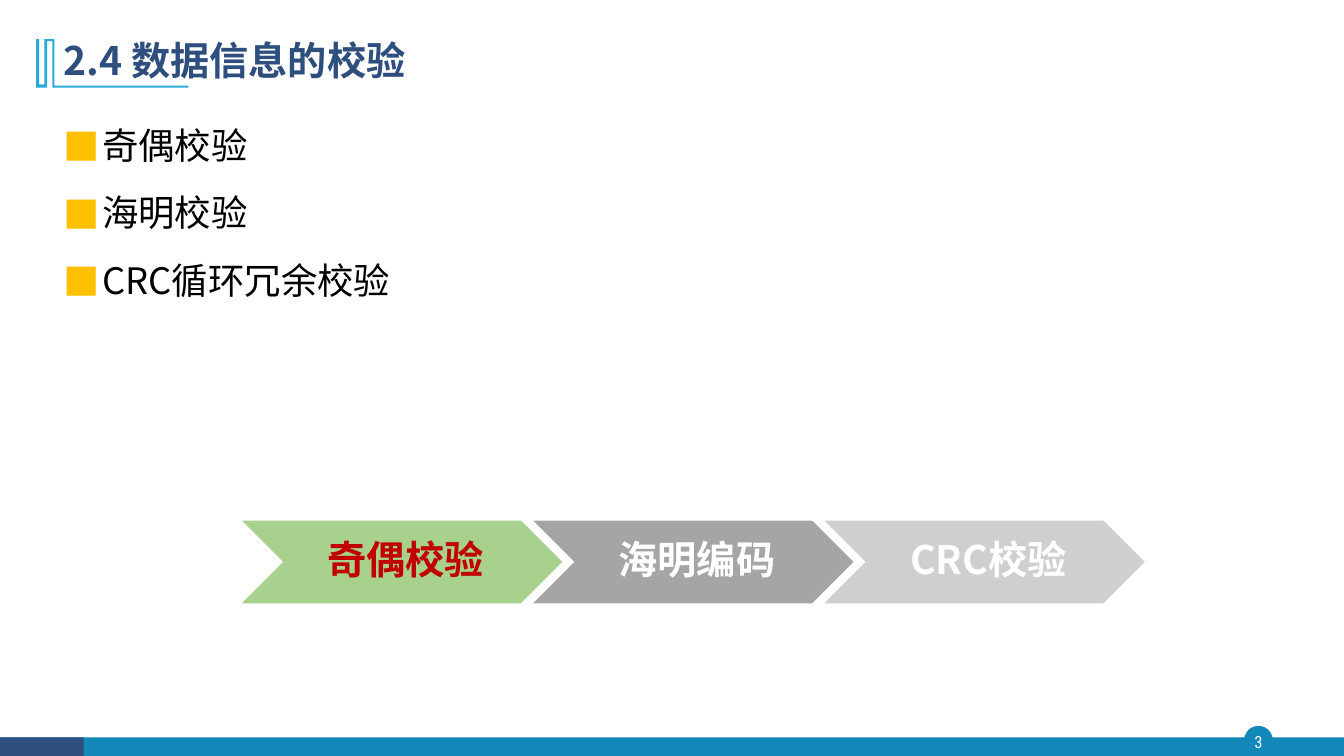
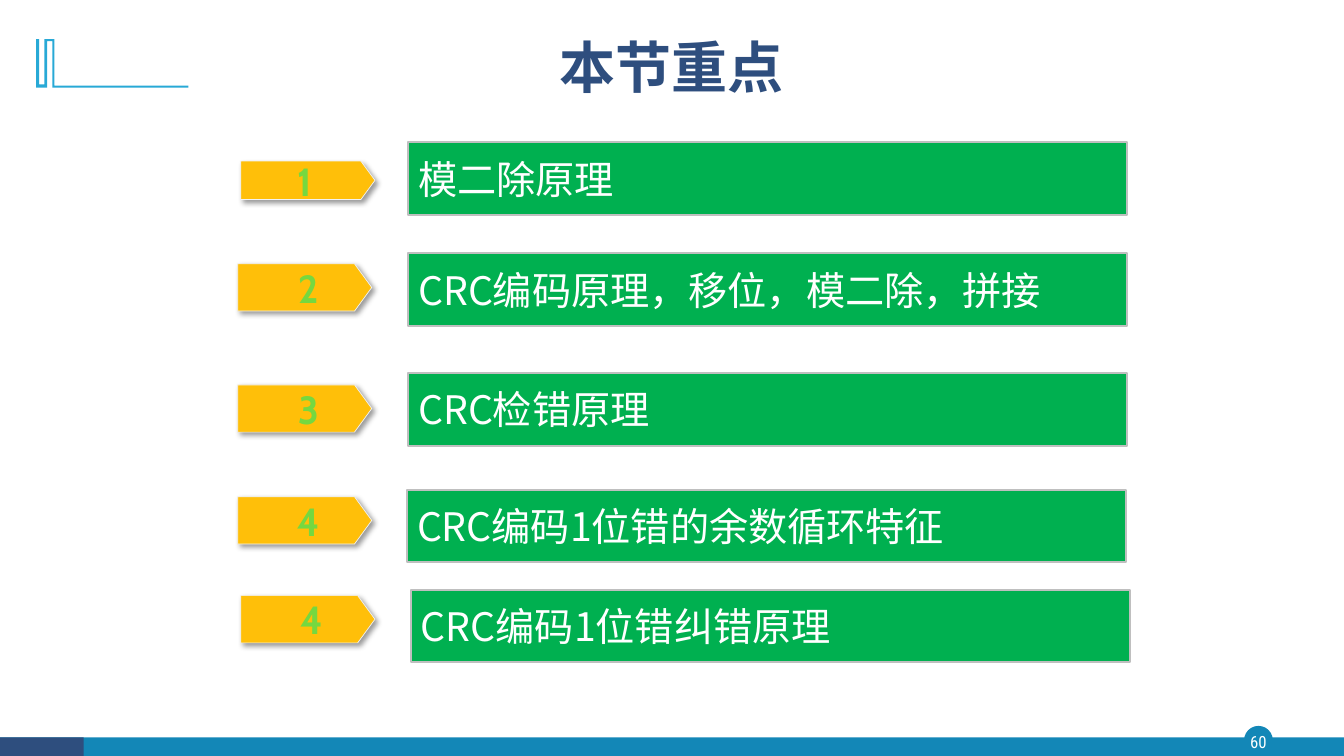
from lxml import etree
from pptx import Presentation
from pptx.dml.color import RGBColor
from pptx.enum import shapes, text
from pptx.oxml import ns
from pptx.util import Cm, Pt

# Shared style
CJK = "Noto Sans CJK SC"
NAVY, BLUE, CYAN = "2E4E7E", "1387B7", "28A9D6"
GREEN, AMBER, LIME = "00B050", "FFBF09", "75D840"
WHITE, BLACK = "FFFFFF", "000000"
CORNER_MARK = [
    (1.37, 0.99), (1.37, 2.16), (4.75, 2.16), (4.75, 2.21), (1.32, 2.21),
    (1.32, 1.04), (1.19, 1.04), (1.19, 2.21), (0.91, 2.21), (0.91, 0.99),
    (0.99, 0.99), (0.99, 2.13), (1.12, 2.13), (1.12, 0.99),
]


def color(value):
    return RGBColor.from_string(value)


def add_xml(parent, tag, **attributes):
    return etree.SubElement(parent, ns.qn(tag), attributes)


def style_paragraph(paragraph, size, ink, face=CJK, bold=False, align=None, spacing=None):
    paragraph.alignment = align
    paragraph.line_spacing = spacing
    font = paragraph.font
    font.size, font.bold, font.name = Pt(size), bold, face
    font.color.rgb = color(ink)
    add_xml(paragraph._p.pPr.find(ns.qn("a:defRPr")), "a:ea", typeface=face)


def place(shape, left, top, width, height):
    shape.left, shape.top = Cm(left), Cm(top)
    shape.width, shape.height = Cm(width), Cm(height)


def paint(shape, fill, line=None, line_width=1):
    shape.shadow.inherit = False
    shape.fill.solid()
    shape.fill.fore_color.rgb = color(fill)
    if line:
        shape.line.color.rgb = color(line)
        shape.line.width = Pt(line_width)
    else:
        shape.line.fill.background()


def add_box(slide, kind, box, fill, line=None, line_width=1):
    shape = slide.shapes.add_shape(kind, *map(Cm, box))
    paint(shape, fill, line, line_width)
    return shape


def set_text(shape, words, size, ink, insets=None, **style):
    frame = shape.text_frame
    frame.vertical_anchor = text.MSO_ANCHOR.MIDDLE
    if insets:
        (frame.margin_left, frame.margin_top,
         frame.margin_right, frame.margin_bottom) = map(Cm, insets)
    frame.text = words
    style_paragraph(frame.paragraphs[0], size, ink, **style)


def add_drop_shadow(shape):
    effects = shape._element.spPr.find(ns.qn("a:effectLst"))
    shadow = add_xml(effects, "a:outerShdw", blurRad=str(Pt(4)), dist=str(Pt(3)),
                     dir="2700000", algn="tl", rotWithShape="0")
    black = add_xml(shadow, "a:srgbClr", val=BLACK)
    add_xml(black, "a:alpha", val="40000")


def add_frame(slide, number):
    """Corner mark, bottom band and page number."""
    points = [(Cm(x), Cm(y)) for x, y in CORNER_MARK]
    builder = slide.shapes.build_freeform(*points[0])
    builder.add_line_segments(points[1:], close=True)
    paint(builder.convert_to_shape(), CYAN)
    rectangle = shapes.MSO_SHAPE.RECTANGLE
    add_box(slide, rectangle, (0, 18.58, 33.87, 0.47), BLUE)
    add_box(slide, rectangle, (0, 18.58, 2.11, 0.47), NAVY)
    badge = add_box(slide, shapes.MSO_SHAPE.OVAL, (31.37, 18.31, 0.69, 0.69), BLUE, BLUE)
    badge.text_frame.word_wrap = False
    set_text(badge, str(number), 12, WHITE, insets=(0, 0.08, 0, 0),
             face="Roboto Condensed", align=text.PP_ALIGN.CENTER)


def add_slide(deck, layout, number, title, box, size, align):
    slide = deck.slides.add_slide(deck.slide_layouts[layout])
    add_frame(slide, number)
    heading = slide.shapes.title
    place(heading, *box)
    set_text(heading, title, size, NAVY, bold=True, align=align, spacing=0.9)
    heading.text_frame.auto_size = text.MSO_AUTO_SIZE.NONE
    return slide


def fill_bullets(body, items):
    place(body, 1.35, 2.62, 29.21, 15.65)
    frame = body.text_frame
    frame.text = "\n".join(items)
    frame.auto_size = text.MSO_AUTO_SIZE.NONE
    for index, paragraph in enumerate(frame.paragraphs):
        properties = paragraph._p.get_or_add_pPr()
        properties.set("marL", str(Cm(0.97)))
        properties.set("indent", str(-Cm(0.97)))
        bullet_color = add_xml(properties, "a:buClr")
        add_xml(bullet_color, "a:srgbClr", val="FFC000")
        add_xml(properties, "a:buFont", typeface=CJK)
        add_xml(properties, "a:buChar", char="■")
        paragraph.space_before = Pt(7 if index else 0)
        style_paragraph(paragraph, 26, BLACK, align=text.PP_ALIGN.JUSTIFY, spacing=1.32)


def add_steps(slide, steps):
    for index, (label, fill, ink) in enumerate(steps):
        box = (6.05 + 7.34 * index, 13.1, 8.15, 2.12)
        chevron = add_box(slide, shapes.MSO_SHAPE.CHEVRON, box, fill, WHITE)
        set_text(chevron, label, 28, ink, insets=(0.3, 0.1, 0.1, 0.1),
                 bold=True, align=text.PP_ALIGN.CENTER, spacing=0.9)


def add_key_point(slide, number, words, tag_box, bar_box, indent):
    tag = add_box(slide, shapes.MSO_SHAPE.PENTAGON, tag_box, AMBER, "F2F2F2", 0.5)
    tag.adjustments[0] = 0.365
    add_drop_shadow(tag)
    set_text(tag, number, 28, LIME, insets=(indent, 0, 0, 0),
             face="Cabin", bold=True, align=text.PP_ALIGN.CENTER)
    bar = add_box(slide, shapes.MSO_SHAPE.RECTANGLE, bar_box, GREEN, "BFBFBF", 1.5)
    set_text(bar, words, 28, WHITE, align=text.PP_ALIGN.LEFT)


def main():
    deck = Presentation()
    deck.slide_width, deck.slide_height = Cm(33.87), Cm(19.05)

    # Section overview
    overview = add_slide(deck, 1, 3, "2.4 数据信息的校验",
                         (1.35, 0.71, 29.21, 1.73), 28, text.PP_ALIGN.LEFT)
    fill_bullets(overview.placeholders[1], ["奇偶校验", "海明校验", "CRC循环冗余校验"])
    add_steps(overview, [
        ("奇偶校验", "A9D18E", "C00000"),
        ("海明编码", "A5A5A5", WHITE),
        ("CRC校验", "D0CECE", WHITE),
    ])

    # Key points: number, words, tag left, top and height, bar left and top, indent
    summary = add_slide(deck, 5, 60, "本节重点",
                        (7.87, 0.36, 18.11, 2.84), 40, text.PP_ALIGN.CENTER)
    key_points = [
        ("1", "模二除原理", 6.07, 4.06, 0.97, 10.29, 3.58, 0),
        ("2", "CRC编码原理，移位，模二除，拼接", 5.99, 6.65, 1.19, 10.29, 6.38, 0.4),
        ("3", "CRC检错原理", 5.99, 9.7, 1.19, 10.29, 9.4, 0.4),
        ("4", "CRC编码1位错的余数循环特征", 5.99, 12.52, 1.19, 10.26, 12.34, 0.4),
        ("4", "CRC编码1位错纠错原理", 6.07, 15.01, 1.19, 10.36, 14.86, 0.4),
    ]
    for number, words, tag_left, tag_top, tag_height, bar_left, bar_top, indent in key_points:
        add_key_point(summary, number, words, (tag_left, tag_top, 3.38, tag_height),
                      (bar_left, bar_top, 18.11, 1.83), indent)

    deck.save("out.pptx")


if __name__ == "__main__":
    main()
